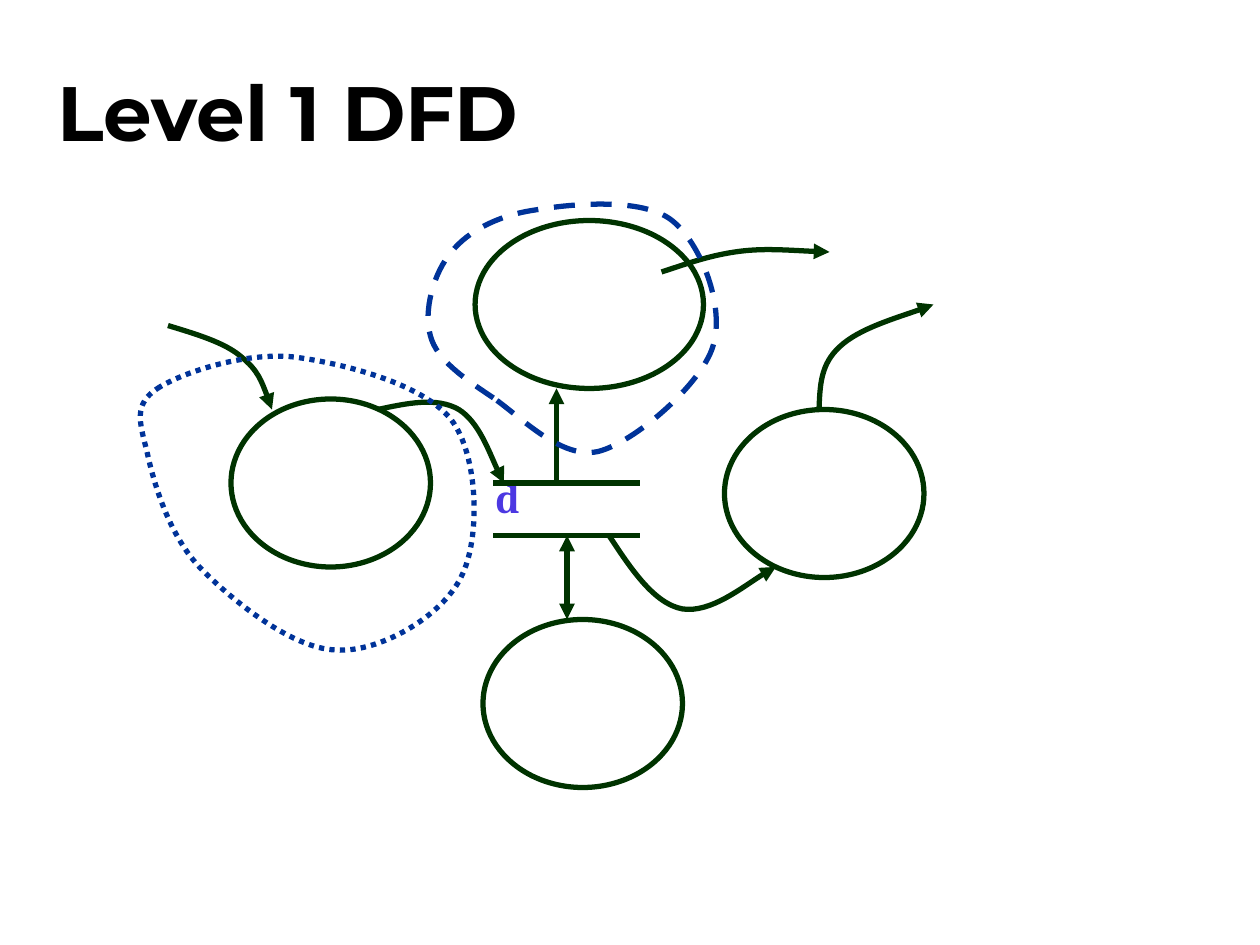
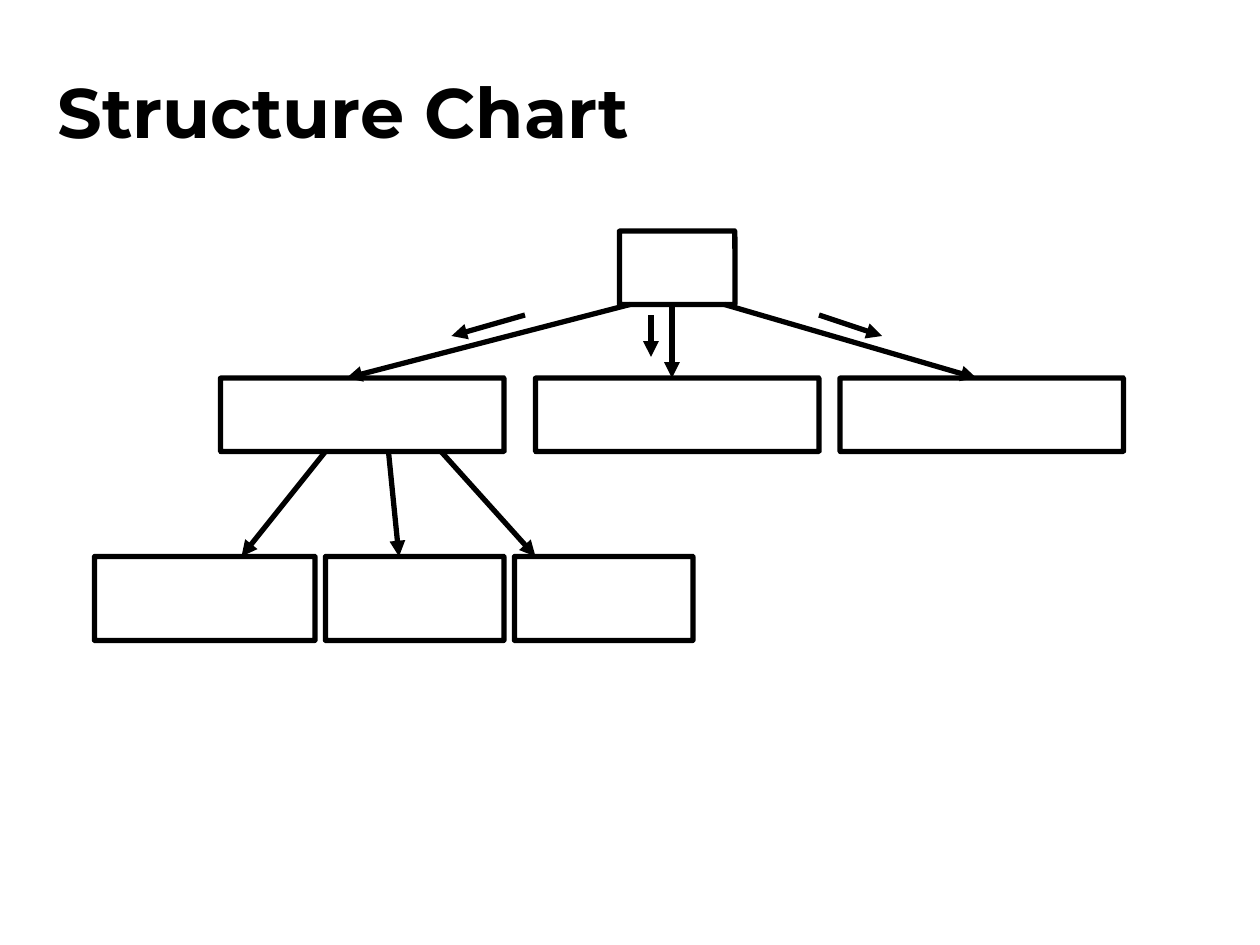
from lxml import etree
from pptx import Presentation
from pptx.dml.color import RGBColor
from pptx.enum import dml, shapes, text
from pptx.oxml import ns
from pptx.util import Cm, Pt

BLACK = RGBColor(0, 0, 0)
GREEN = RGBColor(0x00, 0x33, 0x00)
NAVY = RGBColor(0x00, 0x33, 0x99)
VIOLET = RGBColor(0x4C, 0x38, 0xE2)
HEAD, BODY = "Montserrat", "Cambria"
OVAL = shapes.MSO_SHAPE.OVAL
RECT = shapes.MSO_SHAPE.ROUNDED_RECTANGLE

# Flows and borders: a start point, then three points for each Bezier curve
FLOWS = [
    [(46, 33), (48.1, 36.2), (50.3, 39.5), (53, 40),
     (55.7, 40.4), (60.5, 36.6), (61.9, 36)],
    [(24, 21), (26.8, 20.4), (29.6, 19.8), (31.7, 21),
     (33.6, 22.2), (35.3, 26.8), (36, 28)],
    [(4, 13), (6.6, 13.8), (9.4, 14.6), (11, 16),
     (12.6, 17.3), (13.3, 19.2), (13.9, 21)],
    [(66, 21), (66.1, 18.8), (66.1, 16.7), (68, 15),
     (69.8, 13.3), (75.5, 11.6), (76.9, 11)],
    [(51, 7.9), (53.2, 7.2), (55.3, 6.4), (58, 6),
     (60.6, 5.6), (63.8, 5.9), (67, 6)],
]
INPUT = [
    (3, 19), (5.3, 17.5), (11.3, 15.5), (16, 16),
    (20.6, 16.6), (28.3, 18.5), (31, 22),
    (33.6, 25.4), (33.8, 33.4), (31.9, 37),
    (30.1, 40.7), (24.1, 44.2), (20, 43.9),
    (15.8, 43.8), (10, 39.1), (7, 36),
    (4, 32.8), (2.6, 27.8), (2, 25),
    (1.3, 22.2), (0.7, 20.5), (3, 19),
]
OUTPUT = [
    (35, 19.9), (32.3, 18.1), (29.6, 16.3), (29, 14),
    (28.3, 11.6), (29.3, 8), (31, 6),
    (32.6, 4), (35.5, 2.5), (39, 2),
    (42.5, 1.4), (49.2, 0.8), (52, 3),
    (54.8, 5.2), (57.1, 11.3), (55.9, 15),
    (54.8, 18.6), (48.5, 24.1), (45, 25),
    (41.5, 25.8), (37.7, 21.8), (35, 19.9),
]


def grid(*steps):
    """Turn steps of a twelfth of an inch into lengths."""
    return [Cm(n * 2.54 / 12) for n in steps]


def stroke(item, color, heads=(), dash=None):
    line = item.line
    line.color.rgb, line.width = color, Pt(3)
    if dash:
        line.dash_style = dash
    ln = item._element.spPr.find(ns.qn("a:ln"))
    for head in heads:
        etree.SubElement(ln, ns.qn(f"a:{head}"), type="triangle")


def node(slide, box, kind, x, y, w, h, color):
    item = slide.shapes.add_shape(kind, *grid(box[0] + x, box[1] + y, w, h))
    item.shadow.inherit = False
    item.fill.background()
    if kind == RECT:
        item.adjustments[0] = 0.003
    stroke(item, color)


def link(slide, box, ends, color, heads=("tailEnd",)):
    x, y = box
    x1, y1, x2, y2 = ends
    item = slide.shapes.add_connector(
        shapes.MSO_CONNECTOR.STRAIGHT, *grid(x + x1, y + y1, x + x2, y + y2))
    stroke(item, color, heads)
    etree.SubElement(item._element.spPr, ns.qn("a:effectLst"))


def curve(slide, box, points, color, heads=(), dash=None):
    """Draw Bezier curves through a start and groups of three points."""
    start, *rest = [grid(box[0] + x, box[1] + y) for x, y in points]
    pen = slide.shapes.build_freeform(*start)
    pen.add_line_segments(rest, close=False)
    item = pen.convert_to_shape()
    legs = list(item._element.iter(ns.qn("a:lnTo")))
    for i in range(0, len(legs), 3):
        bend = etree.Element(ns.qn("a:cubicBezTo"))
        legs[i].addprevious(bend)
        for leg in legs[i:i + 3]:
            bend.append(leg[0])
            leg.getparent().remove(leg)
    item.shadow.inherit = False
    item.fill.background()
    stroke(item, color, heads, dash)


def write(frame, words, font, size, color):
    frame.word_wrap = True
    frame.auto_size = text.MSO_AUTO_SIZE.NONE
    frame.margin_left = frame.margin_right = Cm(0.05)
    frame.margin_top = frame.margin_bottom = Cm(0.13)
    par = frame.paragraphs[0]
    par.alignment = text.PP_ALIGN.LEFT
    run = par.add_run()
    run.text = words
    run.font.name, run.font.size, run.font.bold = font, Pt(size), True
    run.font.color.rgb = color
    return par


def page(deck, title, size):
    slide = deck.slides.add_slide(deck.slide_layouts[5])
    head = slide.shapes.title
    head.left, head.top, head.width, head.height = grid(5.25, 3, 102, 15)
    head.text_frame.vertical_anchor = text.MSO_ANCHOR.MIDDLE
    write(head.text_frame, title, HEAD, size, BLACK)
    return slide


def store(slide, box):
    """Draw the data store: its label between two bars."""
    x, y = box
    label = slide.shapes.add_textbox(*grid(x, y - 1, 13, 6))
    write(label.text_frame, "d", BODY, 24, VIOLET).line_spacing = 0.85
    for bar in (5, 0):
        link(slide, box, (0, bar, 14, bar), GREEN, ())


def flow(slide, box):
    """Draw the processes, the store, the flows and the two borders."""
    for x, y, w in (33.25, 3, 21.75), (34, 41, 19), (10, 20, 19), (57, 21, 19):
        node(slide, box, OVAL, x, y, w, 16, GREEN)
    store(slide, (box[0] + 35, box[1] + 28))
    link(slide, box, (41, 28, 41, 19), GREEN)
    link(slide, box, (42, 33, 42, 41), GREEN, ("headEnd", "tailEnd"))
    for points in FLOWS:
        curve(slide, box, points, GREEN, ("tailEnd",))
    curve(slide, box, INPUT, NAVY, dash=dml.MSO_LINE.ROUND_DOT)
    curve(slide, box, OUTPUT, NAVY, dash=dml.MSO_LINE.DASH)


def tree(slide, box):
    """Draw three rows of modules, their calls and the data couples."""
    rows = [
        (0, 7, [(50, 11)]),
        (14, 7, [(12, 27), (42, 27), (71, 27)]),
        (31, 8, [(0, 21), (22, 17), (40, 17)]),
    ]
    for y, h, cells in rows:
        for x, w in cells:
            node(slide, box, RECT, x, y, w, h, BLACK)
    calls = [
        (7, 14, [(51, 24), (55, 55), (60, 84)]),
        (21, 31, [(22, 14), (28, 29), (33, 42)]),
    ]
    for top, end, pairs in calls:
        for x1, x2 in pairs:
            link(slide, box, (x1, top, x2, end), BLACK)
    for ends in (41, 8, 34, 10), (69, 8, 75, 10), (53, 8, 53, 12):
        link(slide, box, ends, BLACK)


def main():
    deck = Presentation()
    deck.slide_width, deck.slide_height = Cm(25.4), Cm(19.05)
    flow(page(deck, "Level 1 DFD", 44), (12, 18))
    tree(page(deck, "Structure Chart", 40), (9, 22))
    deck.save("out.pptx")


if __name__ == "__main__":
    main()
